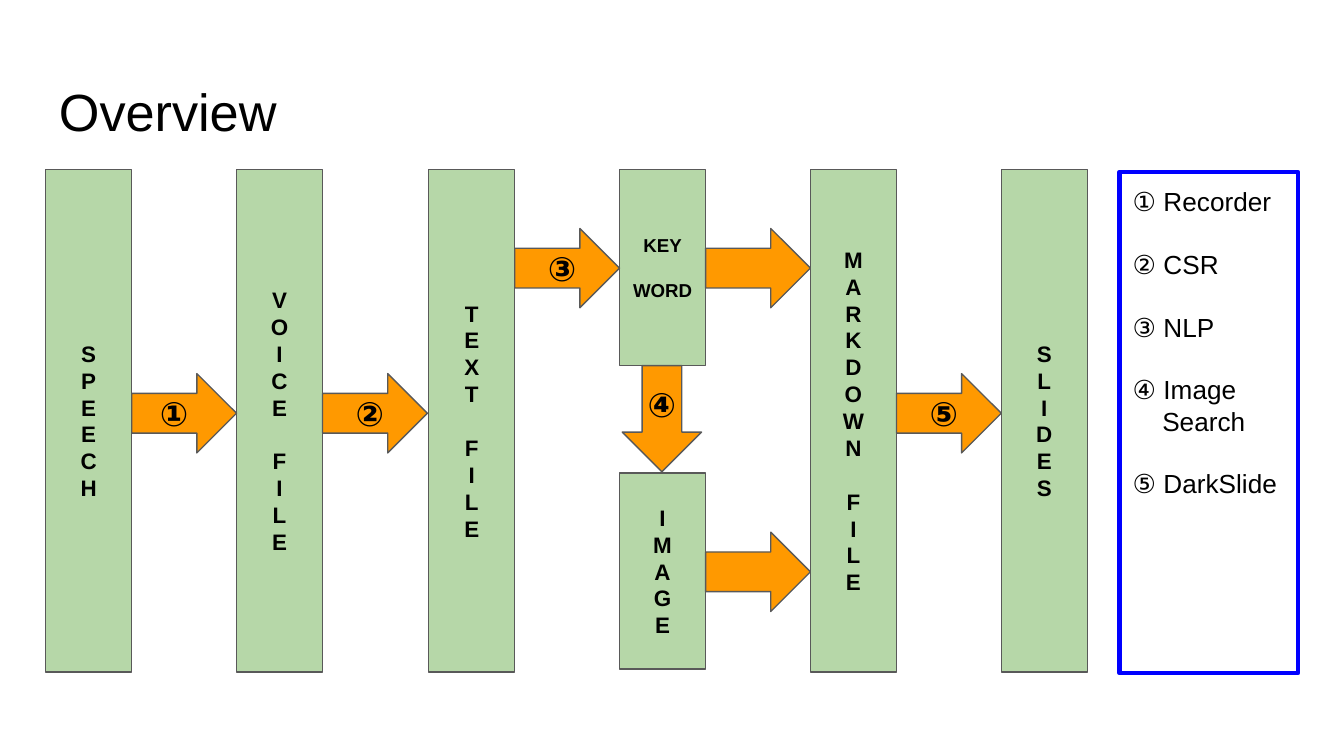
"""Build the overview slide of the speech-to-slides pipeline."""
from pptx import Presentation
from pptx import util as u
from pptx.dml.color import RGBColor
from pptx.enum import shapes, text

PX = 9144
COLORS = {"black": "000000", "green": "B6D7A8", "orange": "FF9900",
          "gray": "595959", "blue": "0000FF"}
FONT = "Arial"
LINE_HEIGHT = 1.2
INSET = 10
COLUMN_TOP, COLUMN_WIDTH, COLUMN_HEIGHT = 126, 64, 374
HALF_HEIGHT = 146
FIRST_LEFT, PITCH = 34.2, 142.2
ARROW_LENGTH, ARROW_HEIGHT = 78, 59
LEGEND = (("① Recorder",), ("② CSR",), ("③ NLP",), ("④ Image", "Search"),
          ("⑤ DarkSlide",))


def color(name):
    """Return the named colour."""
    return RGBColor.from_string(COLORS[name])


def column_left(index):
    """Return the left edge of a pipeline column."""
    return round(FIRST_LEFT + PITCH * index)


def write(shape, groups, size, bold=True, align=text.PP_ALIGN.CENTER,
          anchor=text.MSO_ANCHOR.MIDDLE, insets=(INSET, INSET), indent=0):
    """Write groups of lines, with one line of space between groups."""
    frame = shape.text_frame
    frame.word_wrap = True
    frame.vertical_anchor = anchor
    frame.margin_left, frame.margin_right = (inset * PX for inset in insets)
    frame.margin_top = frame.margin_bottom = INSET * PX
    lines = [(line, row == 0) for group in groups for row, line in enumerate(group)]
    for number, (line, starts_group) in enumerate(lines):
        paragraph = frame.add_paragraph() if number else frame.paragraphs[0]
        paragraph.text = line
        paragraph.alignment = align
        paragraph.line_spacing = u.Pt(size * LINE_HEIGHT)
        if number and starts_group:
            paragraph.space_before = u.Pt(size * LINE_HEIGHT)
        if indent and not starts_group:
            paragraph._p.get_or_add_pPr().set("marL", str(indent * PX))
        for run in paragraph.runs:
            run.font.name = FONT
            run.font.size = u.Pt(size)
            run.font.bold = bold
            run.font.color.rgb = color("black")


def add_box(slide, kind, bounds, fill, line="gray", width=0.75):
    """Add an outlined shape, filled unless fill is None."""
    shape = slide.shapes.add_shape(kind, *(value * PX for value in bounds))
    shape.shadow.inherit = False
    if fill:
        shape.fill.solid()
        shape.fill.fore_color.rgb = color(fill)
    else:
        shape.fill.background()
    shape.line.color.rgb = color(line)
    shape.line.width = u.Pt(width)
    return shape


def add_stage(slide, index, groups, size=12, top=COLUMN_TOP, height=COLUMN_HEIGHT):
    """Add a green pipeline stage with stacked text."""
    bounds = (column_left(index), top, COLUMN_WIDTH, height)
    stage = add_box(slide, shapes.MSO_SHAPE.RECTANGLE, bounds, "green")
    write(stage, groups, size, insets=(5, 5))


def add_arrow(slide, index, top, label="", nudge=0):
    """Add an arrow from a column to the next one."""
    bounds = (column_left(index) + COLUMN_WIDTH, top, ARROW_LENGTH, ARROW_HEIGHT)
    arrow = add_box(slide, shapes.MSO_SHAPE.RIGHT_ARROW, bounds, "orange")
    if label:
        write(arrow, [(label,)], 18, insets=(INSET + nudge, INSET))


def add_down_arrow(slide):
    """Add the turned arrow from the keyword to the image."""
    arrow = add_box(slide, shapes.MSO_SHAPE.RIGHT_ARROW,
                    (453, 282, 79, ARROW_HEIGHT), "orange")
    arrow.rotation = 90


def add_label(slide, bounds, label, size, bold):
    """Add a left-aligned text box."""
    box = slide.shapes.add_textbox(*(value * PX for value in bounds))
    write(box, [(label,)], size, bold, text.PP_ALIGN.LEFT, text.MSO_ANCHOR.TOP)


def add_legend(slide):
    """Add the blue frame that names the numbered steps."""
    legend = add_box(slide, shapes.MSO_SHAPE.RECTANGLE, (833, 128, 133, 373),
                     None, "blue", 2.25)
    write(legend, LEGEND, 14, False, text.PP_ALIGN.LEFT,
          text.MSO_ANCHOR.TOP, indent=22)


def main():
    """Build and save the presentation."""
    presentation = Presentation()
    presentation.slide_width = 1000 * PX
    presentation.slide_height = presentation.slide_width * 9 // 16
    slide = presentation.slides.add_slide(presentation.slide_layouts[6])
    add_label(slide, (34, 49, 932, 63), "Overview", 28, False)

    add_stage(slide, 0, ["SPEECH"])
    add_stage(slide, 1, ["VOICE", "FILE"])
    add_stage(slide, 2, ["TEXT", "FILE"])
    add_stage(slide, 3, [("KEY",), ("WORD",)], size=10, height=HALF_HEIGHT)
    add_stage(slide, 3, ["IMAGE"], top=352, height=HALF_HEIGHT)
    add_stage(slide, 4, ["MARKDOWN", "FILE"])
    add_stage(slide, 5, ["SLIDES"])

    upper, middle, lower = 170, 278, 396
    add_arrow(slide, 0, middle, "①")
    add_arrow(slide, 1, middle, "②", nudge=7)
    add_arrow(slide, 2, upper, "③", nudge=7)
    add_down_arrow(slide)
    add_arrow(slide, 3, upper)
    add_arrow(slide, 3, lower)
    add_arrow(slide, 4, middle, "⑤", nudge=7)
    add_label(slide, (472, 276, 36, 29), "④", 18, True)
    add_legend(slide)
    presentation.save("out.pptx")


if __name__ == "__main__":
    main()
